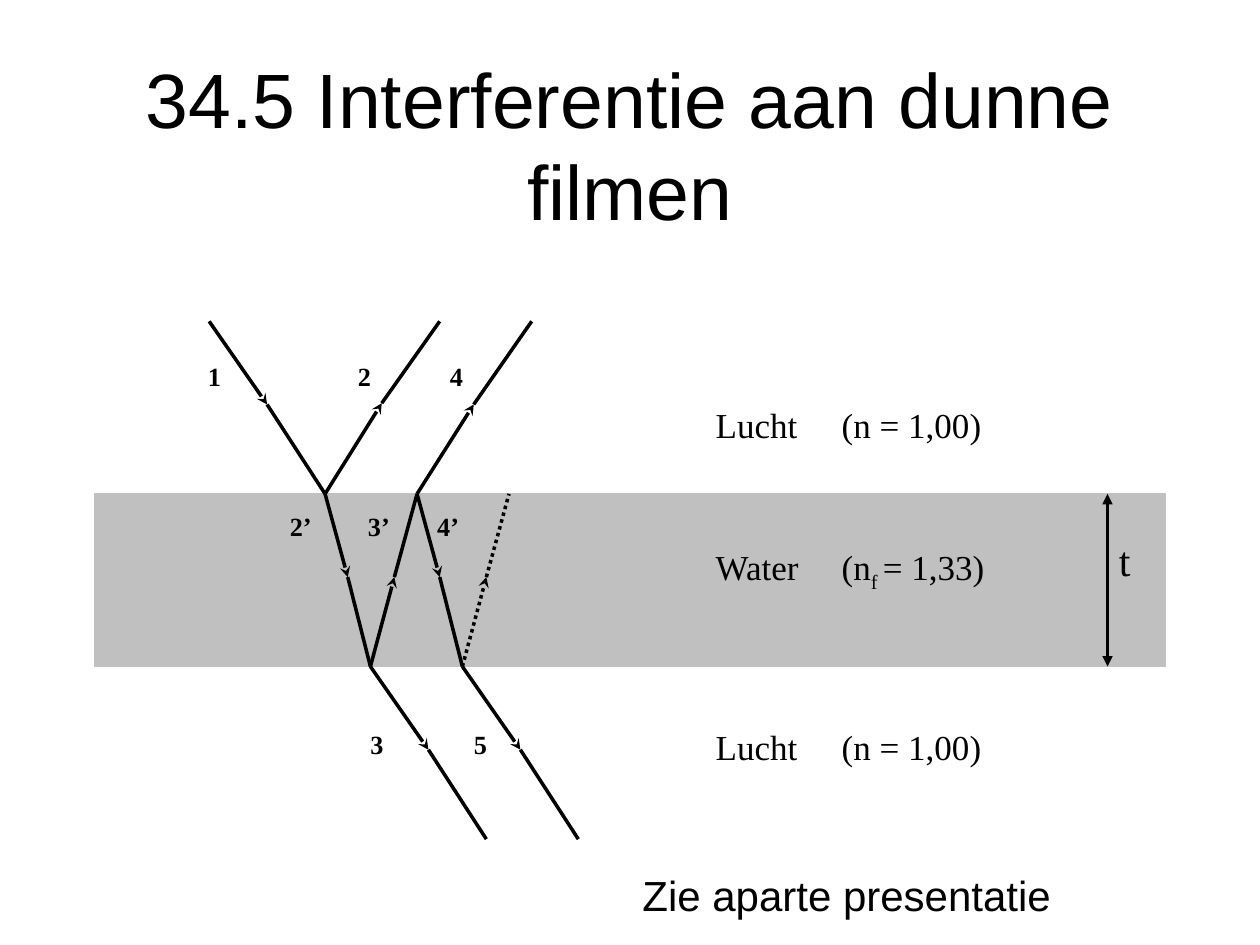
from lxml import etree
from pptx import Presentation
from pptx.dml.color import RGBColor
from pptx.enum.dml import MSO_LINE
from pptx.enum.shapes import MSO_CONNECTOR, MSO_SHAPE
from pptx.enum.text import MSO_ANCHOR, MSO_AUTO_SIZE, PP_ALIGN
from pptx.oxml.ns import qn
from pptx.util import Inches, Pt

STRAIGHT, RECT = MSO_CONNECTOR.STRAIGHT, MSO_SHAPE.RECTANGLE
DOTTED = MSO_LINE.ROUND_DOT
TOP, CENTER = MSO_ANCHOR.TOP, PP_ALIGN.CENTER
GROW = MSO_AUTO_SIZE.SHAPE_TO_FIT_TEXT

COLORS = {"ink": "000000", "water": "C0C0C0"}
SANS, SERIF = "Arial", "Times New Roman"

FILM_TOP, FILM_BOTTOM = 3.92, 5.29

# Each ray: start, middle (where the arrowhead sits), end
RAYS = [
    ((1.66, 2.55), (2.12, 3.21), (2.58, FILM_TOP)),
    ((2.58, FILM_TOP), (3.03, 3.2), (3.49, 2.55)),
    ((2.58, FILM_TOP), (2.76, 4.58), (2.94, FILM_BOTTOM)),
    ((2.94, FILM_BOTTOM), (3.13, 4.58), (3.31, FILM_TOP)),
    ((2.94, FILM_BOTTOM), (3.4, 5.95), (3.86, 6.66)),
    ((3.31, FILM_TOP), (3.76, 3.21), (4.22, 2.55)),
    ((3.31, FILM_TOP), (3.49, 4.58), (3.67, FILM_BOTTOM)),
    ((3.67, FILM_BOTTOM), (4.13, 5.95), (4.59, 6.66)),
]
FAINT_RAY = ((3.67, FILM_BOTTOM), (3.86, 4.58), (4.04, FILM_TOP))

RAY_LABELS = [
    ("1", 1.56, 2.82), ("2", 2.75, 2.82), ("4", 3.48, 2.82),
    ("2’", 2.21, 4.01), ("3’", 2.83, 4.01), ("4’", 3.38, 4.01),
    ("3", 2.85, 5.74), ("5", 3.67, 5.74),
]

# Each medium: top, text before the index, index, text after it
MEDIA = [
    (3.16, "Lucht \t(n = 1,00)", "", ""),
    (4.29, "Water \t(n", "f ", "= 1,33)"),
    (5.72, "Lucht \t(n = 1,00)", "", ""),
]


def rgb(name):
    return RGBColor.from_string(COLORS[name])


def add_film(slide):
    sp = slide.shapes.add_shape(RECT, Inches(0.75), Inches(FILM_TOP),
                                Inches(8.5), Inches(FILM_BOTTOM - FILM_TOP))
    sp.shadow.inherit = False
    sp.fill.solid()
    sp.fill.fore_color.rgb = rgb("water")
    sp.line.color.rgb = rgb("water")
    sp.line.width = Pt(0.75)


def add_line(slide, start, end, width=2, head=None, tail=None, dash=None):
    """Straight line; head is the arrowhead at start, tail the one at end."""
    x1, y1, x2, y2 = (Inches(v) for v in (*start, *end))
    line = slide.shapes.add_connector(STRAIGHT, x1, y1, x2, y2)
    line.line.color.rgb = rgb("ink")
    line.line.width = Pt(width)
    if dash:
        line.line.dash_style = dash
    ln = line.line._get_or_add_ln()
    for tag, arrow in (("a:headEnd", head), ("a:tailEnd", tail)):
        if arrow:
            etree.SubElement(ln, qn(tag), type=arrow)
    etree.SubElement(line._element.spPr, qn("a:effectLst"))


def add_ray(slide, start, middle, end, dash=None):
    """Light ray in two halves, with an arrowhead halfway."""
    add_line(slide, start, middle, tail="stealth", dash=dash)
    add_line(slide, middle, end, dash=dash)


def add_text(slide, text, left, top, width, height, size,
             font=SERIF, bold=False, wrap=True):
    sp = slide.shapes.add_textbox(Inches(left), Inches(top),
                                  Inches(width), Inches(height))
    tf = sp.text_frame
    tf.word_wrap = wrap
    tf.vertical_anchor = TOP
    tf.margin_left = tf.margin_right = Inches(0.09)
    tf.margin_top = tf.margin_bottom = Inches(0.04)
    tf.text = text
    format_run(tf.paragraphs[0].runs[0], size, font, bold)
    return tf


def format_run(r, size, font, bold=False):
    r.font.size = Pt(size)
    r.font.name = font
    r.font.bold = bold
    r.font.color.rgb = rgb("ink")


def add_medium(slide, top, text, index, rest):
    """Name of a medium with its refractive index."""
    p = add_text(slide, text, 5.59, top, 3.15, 0.58, 20).paragraphs[0]
    for part, baseline in ((index, "-25000"), (rest, "0")):
        if part:
            r = p.add_run()
            r.text = part
            format_run(r, 20, SERIF)
            r._r.get_or_add_rPr().set("baseline", baseline)


def main():
    prs = Presentation()
    prs.slide_width, prs.slide_height = Inches(10), Inches(7.5)
    slide = prs.slides.add_slide(prs.slide_layouts[6])

    add_film(slide)
    for ray in RAYS:
        add_ray(slide, *ray)
    add_ray(slide, *FAINT_RAY, dash=DOTTED)

    add_line(slide, (8.79, FILM_TOP), (8.79, FILM_BOTTOM), width=1.5,
             head="triangle", tail="triangle")
    add_text(slide, "t", 8.79, 4.2, 0.46, 0.66, 24)

    for medium in MEDIA:
        add_medium(slide, *medium)
    for text, left, top in RAY_LABELS:
        width = 0.38 if len(text) == 1 else 0.48
        add_text(slide, text, left, top, width, 0.47, 15, bold=True)

    title = add_text(slide, "34.5 Interferentie aan dunne filmen",
                     0.5, 0.3, 9, 1.25, 44, font=SANS)
    title.margin_top = Inches(0.11)
    title.paragraphs[0].alignment = CENTER

    note = add_text(slide, "Zie aparte presentatie",
                    5, 6.85, 3.48, 0.51, 24, font=SANS, wrap=False)
    note.margin_left = note.margin_right = Inches(0.1)
    note.margin_top = note.margin_bottom = Inches(0.05)
    note.auto_size = GROW

    prs.save("out.pptx")


if __name__ == "__main__":
    main()
